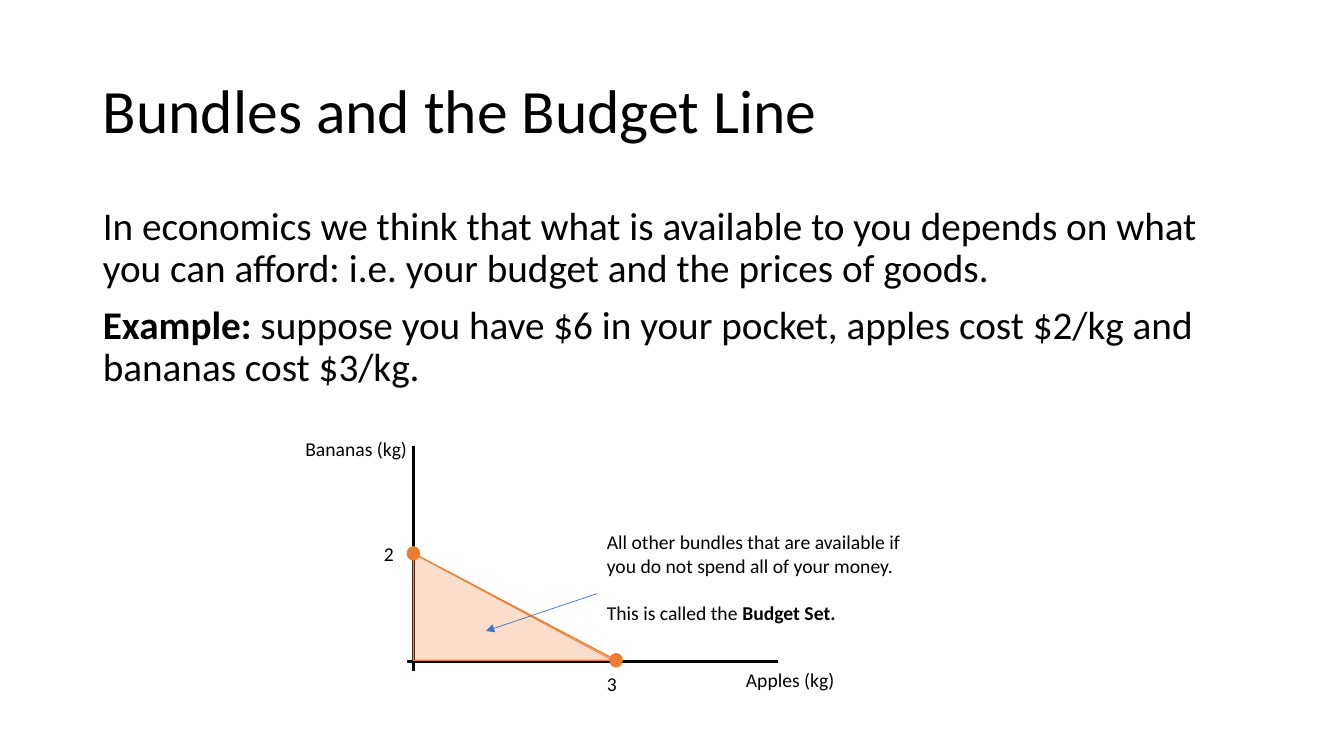
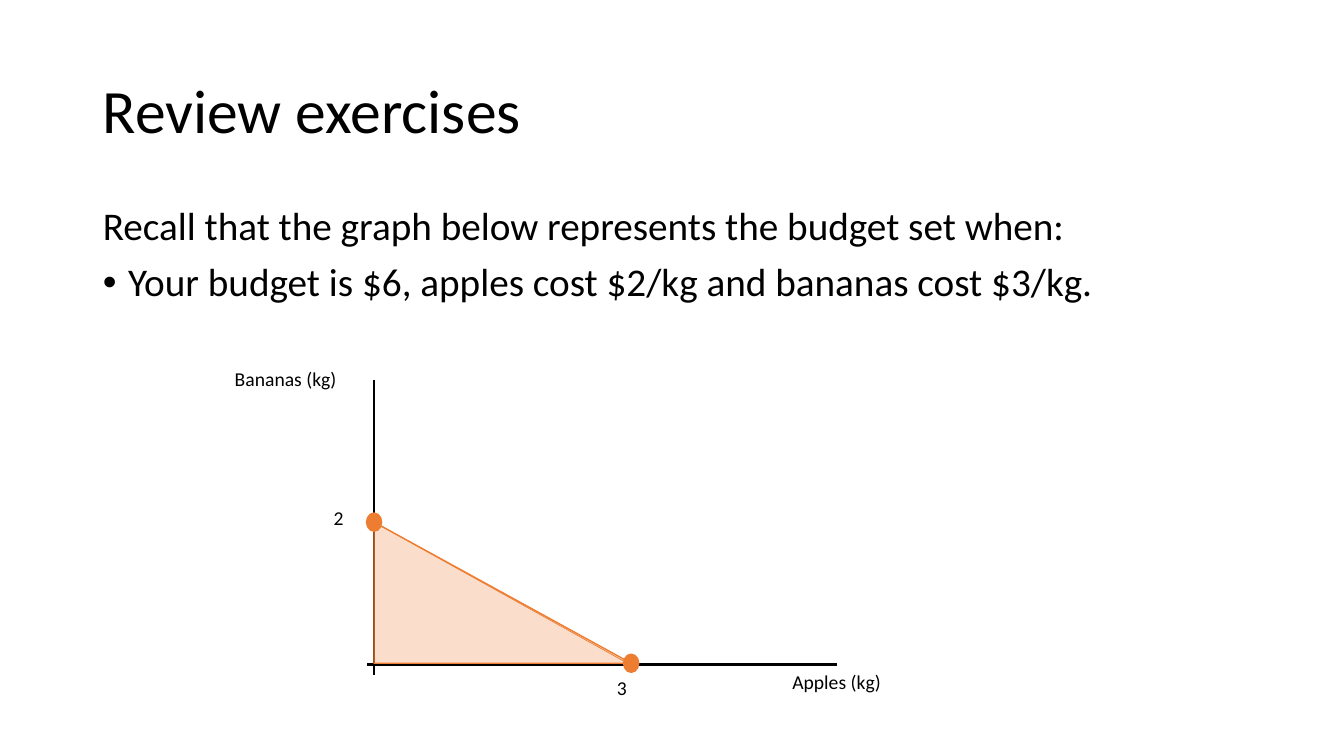
from dataclasses import dataclass

from lxml.etree import SubElement
from pptx import Presentation
from pptx.dml.color import RGBColor
from pptx.enum.shapes import MSO_CONNECTOR, MSO_SHAPE
from pptx.enum.text import MSO_ANCHOR, MSO_AUTO_SIZE, PP_ALIGN
from pptx.oxml.ns import qn
from pptx.util import Inches, Pt


@dataclass(frozen=True)
class Theme:
    font: str = "Calibri"
    ink: str = "000000"
    budget: str = "ED7D31"
    pointer: str = "4472C4"
    title_size: int = 44
    body_size: int = 28
    label_size: int = 14
    set_opacity: int = 25


THEME = Theme()
TITLE_BOX = (0.92, 0.4, 11.5, 1.45)
BODY_BOX = (0.92, 2, 11.5, 4.76)

# Content: a paragraph is a list of (text, bold) runs
# Graph: origin, inches per kg, axis ends, dot size and label corners
AFFORDABLE = {"apples": 3, "bananas": 2}
SLIDES = [
    {
        "title": "Bundles and the Budget Line",
        "body": [
            [("In economics we think that what is available to you depends on what "
              "you can afford: i.e. your budget and the prices of goods.", False)],
            [("Example: ", True),
             ("suppose you have $6 in your pocket, apples cost $2/kg and "
              "bananas cost $3/kg.", False)],
        ],
        "bulleted": [],
        "graph": {
            "origin": (4.1, 6.55), "per_kg": (0.67, 0.53),
            "x_axis": (4.04, 7.72), "y_axis": (4.42, 6.66), "dot": (0.12, 0.13),
            "labels": [("Apples (kg)", 7.3, 6.58), ("Bananas (kg)", 2.93, 4.29),
                       ("3", 5.92, 6.62), ("2", 3.71, 5.33)],
        },
        "callout": {
            "text": [
                [("All other bundles that are available if you do not spend "
                  "all of your money.", False)],
                [("This is called the ", False), ("Budget Set.", True)],
            ],
            "box": (5.92, 5.21, 3.39, 1.04),
            "arrow": ((5.92, 5.89), (4.82, 6.26)),
        },
    },
    {
        "title": "Review exercises",
        "body": [
            [("Recall that the graph below represents the budget set when:", False)],
            [("Your budget is $6, apples cost $2/kg and bananas cost $3/kg.", False)],
        ],
        "bulleted": [1],
        "graph": {
            "origin": (3.71, 6.58), "per_kg": (0.85, 0.7),
            "x_axis": (3.64, 8.3), "y_axis": (3.77, 6.7), "dot": (0.15, 0.18),
            "labels": [("Apples (kg)", 7.76, 6.6), ("Bananas (kg)", 2.23, 3.59),
                       ("3", 6.02, 6.66), ("2", 3.21, 4.97)],
        },
    },
]


def color(value):
    return RGBColor.from_string(value)


def place(item, box):
    item.left, item.top, item.width, item.height = map(Inches, box)


def write(frame, paragraphs, size, spacing=None, before=0, anchor=MSO_ANCHOR.TOP):
    """Fill a text frame; before is the gap above each paragraph in points."""
    frame.word_wrap = True
    frame.auto_size = MSO_AUTO_SIZE.NONE
    frame.vertical_anchor = anchor
    for index, runs in enumerate(paragraphs):
        paragraph = frame.paragraphs[0] if index == 0 else frame.add_paragraph()
        paragraph.alignment = PP_ALIGN.LEFT
        paragraph.line_spacing = spacing
        paragraph.space_before = Pt(before)
        for text, bold in runs:
            run = paragraph.add_run()
            run.text = text
            run.font.name = THEME.font
            run.font.size = Pt(size)
            run.font.bold = bold
            run.font.color.rgb = color(THEME.ink)


def set_bullet(paragraph, bulleted):
    properties = paragraph._p.get_or_add_pPr()
    indent = Inches(0.25) if bulleted else 0
    properties.set("marL", str(indent))
    properties.set("indent", str(-indent))
    if bulleted:
        SubElement(properties, qn("a:buFont")).set("typeface", "Arial")
        SubElement(properties, qn("a:buChar")).set("char", "•")
    else:
        SubElement(properties, qn("a:buNone"))


def add_text(slide, box, paragraphs, **style):
    write(slide.shapes.add_textbox(*map(Inches, box)).text_frame, paragraphs,
          THEME.label_size, **style)


def add_line(slide, start, end, tint, width, arrow=False):
    line = slide.shapes.add_connector(MSO_CONNECTOR.STRAIGHT,
                                      *map(Inches, (*start, *end)))
    line.line.color.rgb = color(tint)
    line.line.width = Pt(width)
    if arrow:
        SubElement(line.line._get_or_add_ln(), qn("a:tailEnd")).set("type", "triangle")
    SubElement(line._element.spPr, qn("a:effectLst"))


def add_budget_shape(slide, preset, box, opacity=100):
    shape = slide.shapes.add_shape(preset, *map(Inches, box))
    shape.shadow.inherit = False
    shape.fill.solid()
    shape.fill.fore_color.rgb = color(THEME.budget)
    shape.line.color.rgb = color(THEME.budget)
    shape.line.width = Pt(1)
    if opacity < 100:
        tint = shape._element.spPr.find(qn("a:solidFill"))[0]
        SubElement(tint, qn("a:alpha")).set("val", str(opacity * 1000))


def add_graph(slide, origin, per_kg, x_axis, y_axis, dot, labels):
    x0, y0 = origin
    run = AFFORDABLE["apples"] * per_kg[0]
    rise = AFFORDABLE["bananas"] * per_kg[1]
    only_bananas, only_apples = (x0, y0 - rise), (x0 + run, y0)
    axis_y = y0 + 0.01

    # Budget line, axes and budget set
    add_line(slide, only_bananas, (x0 + run, y0 + 0.02), THEME.budget, 0.5)
    add_line(slide, (x0, y_axis[0]), (x0, y_axis[1]), THEME.ink, 2)
    add_line(slide, (x_axis[0], axis_y), (x_axis[1], axis_y), THEME.ink, 2)
    add_budget_shape(slide, MSO_SHAPE.RIGHT_TRIANGLE, (x0, y0 - rise, run, rise),
                     opacity=THEME.set_opacity)

    # Bundles at the ends of the budget line
    width, height = dot
    for x, y in (only_bananas, only_apples):
        add_budget_shape(slide, MSO_SHAPE.OVAL,
                         (x - width / 2, y - height / 2, width, height))

    # Axis names and amounts
    for text, left, top in labels:
        add_text(slide, (left, top, 0.3 if len(text) == 1 else 1.76, 0.34),
                 [[(text, False)]])


def add_callout(slide, text, box, arrow):
    add_text(slide, box, text[:1])
    left, top, width, height = box
    add_text(slide, (left, top + 0.7, width, height - 0.7), text[1:])
    add_line(slide, *arrow, THEME.pointer, 0.5, arrow=True)


def build_slide(deck, layout, content):
    slide = deck.slides.add_slide(layout)
    write(slide.shapes.title.text_frame, [[(content["title"], False)]],
          THEME.title_size, spacing=0.9, anchor=MSO_ANCHOR.MIDDLE)
    body = slide.placeholders[1].text_frame
    write(body, content["body"], THEME.body_size, spacing=0.9, before=10)
    for index, paragraph in enumerate(body.paragraphs):
        set_bullet(paragraph, index in content["bulleted"])
    add_graph(slide, **content["graph"])
    if "callout" in content:
        add_callout(slide, **content["callout"])


def main():
    deck = Presentation()
    deck.slide_width, deck.slide_height = Inches(13.33), Inches(7.5)
    layout = deck.slide_layouts[1]
    place(layout.placeholders[0], TITLE_BOX)
    place(layout.placeholders[1], BODY_BOX)
    for content in SLIDES:
        build_slide(deck, layout, content)
    deck.save("out.pptx")


if __name__ == "__main__":
    main()
